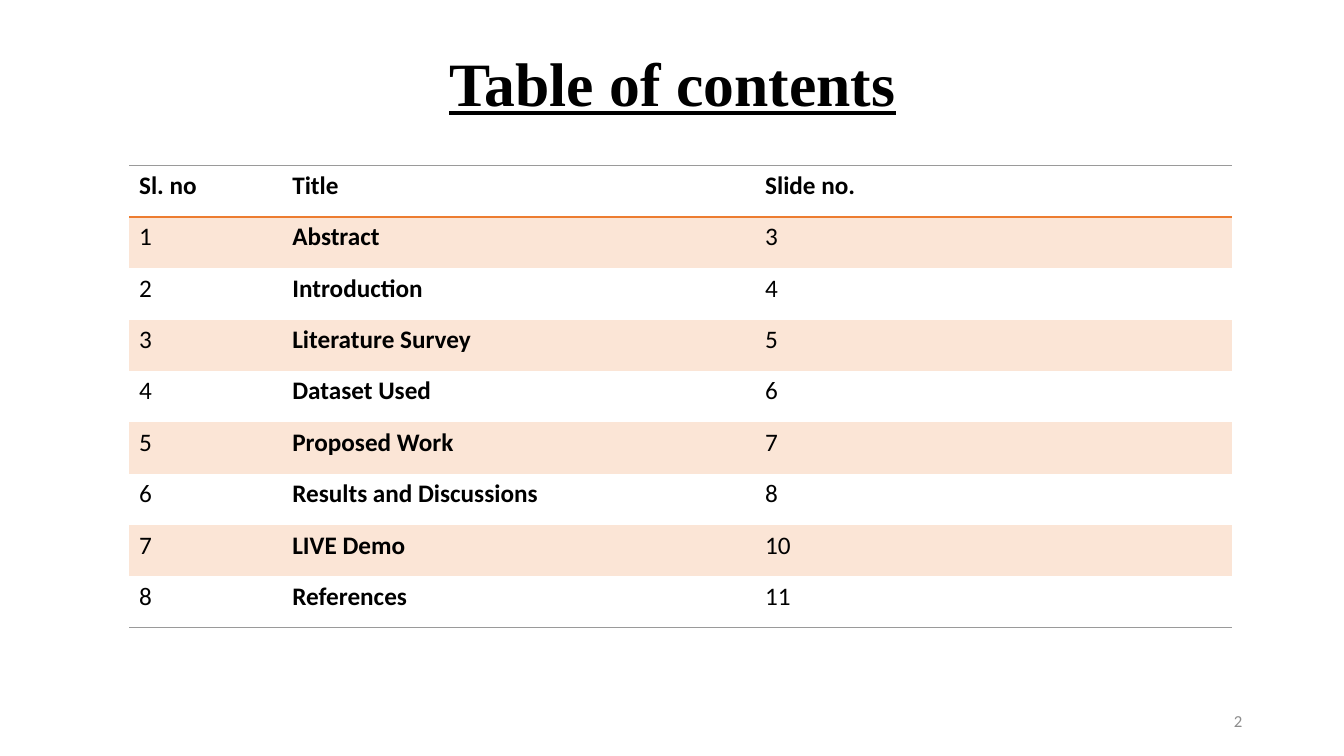
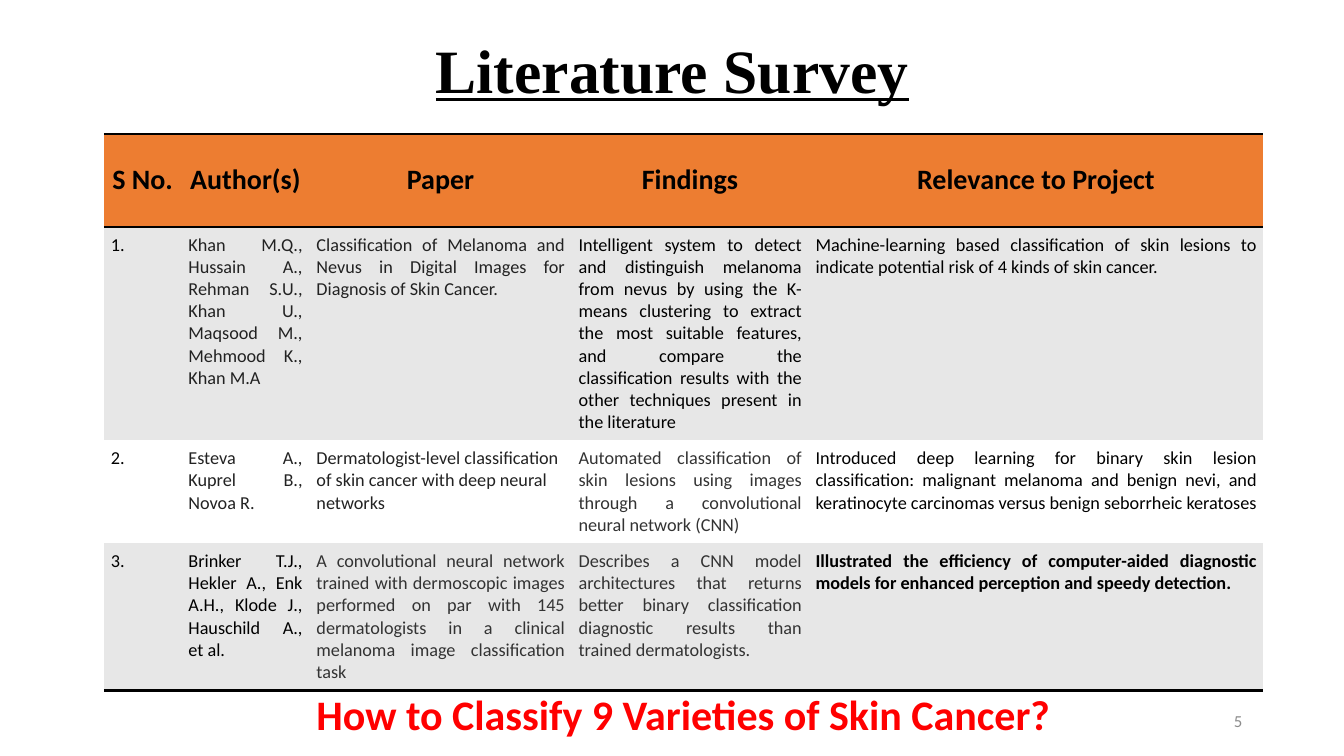
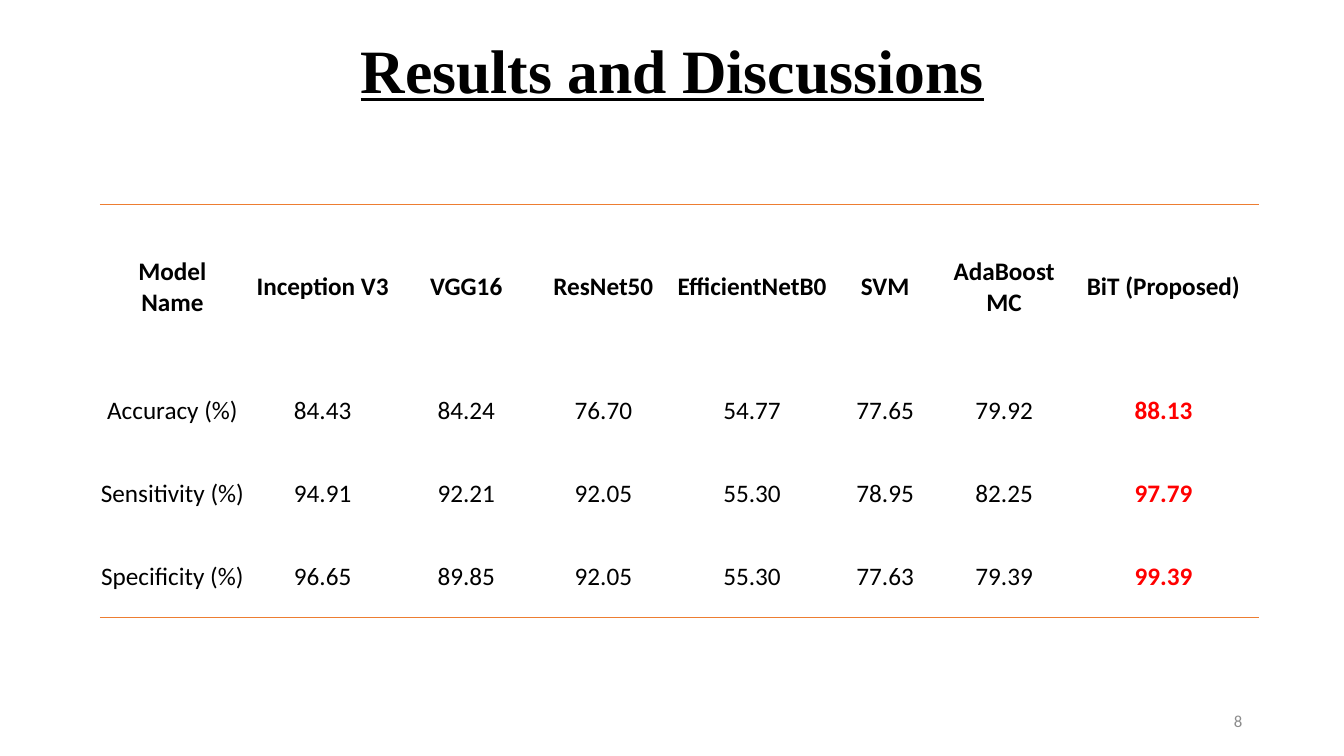
from lxml import etree
from pptx import Presentation
from pptx import util as u
from pptx.dml.color import RGBColor
from pptx.enum import text as t
from pptx.oxml.ns import qn

PX = 9144  # 100 px to the inch
COLORS = {
    "black": "000000",
    "charcoal": "222222",
    "slate": "333333",
    "orange": "ED7D31",
    "peach": "FBE5D6",
    "band": "E7E7E7",
    "white": "FFFFFF",
    "rule": "9A9A9A",
    "number": "8C8C8C",
    "red": "FF0000",
}
BODY_FONT, TITLE_FONT = "Calibri", "Times New Roman"
PLAIN_TABLE_STYLE = "{2D5ABB26-0587-4C30-8999-92F81FD0307C}"
LEFT, CENTER, RIGHT, JUSTIFY = (
    t.PP_ALIGN.LEFT, t.PP_ALIGN.CENTER, t.PP_ALIGN.RIGHT, t.PP_ALIGN.JUSTIFY)
TOP, MIDDLE = t.MSO_ANCHOR.TOP, t.MSO_ANCHOR.MIDDLE

CONTENTS = [
    ("Sl. no", "Title", "Slide no."),
    ("1", "Abstract", "3"),
    ("2", "Introduction", "4"),
    ("3", "Literature Survey", "5"),
    ("4", "Dataset Used", "6"),
    ("5", "Proposed Work", "7"),
    ("6", "Results and Discussions", "8"),
    ("7", "LIVE Demo", "10"),
    ("8", "References", "11"),
]
SURVEY = [
    ("S No.", "Author(s)", "Paper", "Findings", "Relevance to Project"),
    ("1.",
     "Khan M.Q., Hussain A., Rehman S.U., Khan U., Maqsood M., Mehmood K., Khan M.A",
     "Classification of Melanoma and Nevus in Digital Images for Diagnosis of Skin Cancer.",
     "Intelligent system to detect and distinguish melanoma from nevus by using the "
     "K-means clustering to extract the most suitable features, and compare the "
     "classification results with the other techniques present in the literature",
     "Machine-learning based classification of skin lesions to indicate potential risk "
     "of 4 kinds of skin cancer."),
    ("2.",
     "Esteva A., Kuprel B., Novoa R.",
     "Dermatologist-level classification of skin cancer with deep neural networks",
     "Automated classification of skin lesions using images through a convolutional "
     "neural network (CNN)",
     "Introduced deep learning for binary skin lesion classification: malignant melanoma "
     "and benign nevi, and keratinocyte carcinomas versus benign seborrheic keratoses"),
    ("3.",
     "Brinker T.J., Hekler A., Enk A.H., Klode J., Hauschild A., et al.",
     "A convolutional neural network trained with dermoscopic images performed on par "
     "with 145 dermatologists in a clinical melanoma image classification task",
     "Describes a CNN model architectures that returns better binary classification "
     "diagnostic results than trained dermatologists.",
     "Illustrated the efficiency of computer-aided diagnostic models for enhanced "
     "perception and speedy detection."),
]
SURVEY_INK = [
    ("black",) * 5,
    ("black", "charcoal", "charcoal", "black", "black"),
    ("black", "charcoal", "charcoal", "slate", "black"),
    ("black", "black", "slate", "slate", "black"),
]
RESULTS = [
    ("Model\nName", "Inception V3", "VGG16", "ResNet50", "EfficientNetB0", "SVM",
     "AdaBoost MC", "BiT (Proposed)"),
    ("Accuracy (%)", "84.43", "84.24", "76.70", "54.77", "77.65", "79.92", "88.13"),
    ("Sensitivity (%)", "94.91", "92.21", "92.05", "55.30", "78.95", "82.25", "97.79"),
    ("Specificity (%)", "96.65", "89.85", "92.05", "55.30", "77.63", "79.39", "99.39"),
]


def px(*lengths):
    return [u.Emu(length * PX) for length in lengths]


def write(frame, text, size, color="black", bold=False, align=LEFT,
          font=BODY_FONT, underline=False):
    frame.text = text
    frame.word_wrap = True
    for paragraph in frame.paragraphs:
        paragraph.alignment = align
        for run in paragraph.runs:
            run.font.name = font
            run.font.size = u.Pt(size)
            run.font.bold = bold
            run.font.underline = underline
            run.font.color.rgb = RGBColor.from_string(COLORS[color])


def add_label(slide, box, text, size, anchor=TOP, **style):
    frame = slide.shapes.add_textbox(*px(*box)).text_frame
    write(frame, text, size, **style)
    frame.vertical_anchor = anchor


def add_titled_slide(presentation, title, number, top=0):
    """Add a slide with the shared title style and page number."""
    slide = presentation.slides.add_slide(presentation.slide_layouts[5])
    shape = slide.shapes.title
    shape.left, shape.top, shape.width, shape.height = px(92, top, 1150, 145)
    frame = shape.text_frame
    write(frame, title, 44, bold=True, align=CENTER, font=TITLE_FONT, underline=True)
    frame.vertical_anchor = MIDDLE
    frame.auto_size = t.MSO_AUTO_SIZE.NONE
    frame.paragraphs[0].line_spacing = 0.9
    add_label(slide, (942, 695, 300, 40), number, 12, MIDDLE,
              color="number", align=RIGHT)
    return slide


def draw_borders(cell, borders):
    """Borders map "T" or "B" to a colour name and a width in points."""
    properties = cell._tc.get_or_add_tcPr()
    for index, side in enumerate(sorted(borders, reverse=True)):
        color, width = borders[side]
        line = etree.Element(qn("a:ln" + side), w=str(u.Pt(width)))
        fill = etree.SubElement(line, qn("a:solidFill"))
        etree.SubElement(fill, qn("a:srgbClr"), val=COLORS[color])
        properties.insert(index, line)


def add_grid(slide, origin, widths, heights, texts, style_of, borders_of,
             inset=None, anchor=TOP):
    """Add a table; style_of(row, column) gives a fill name and the text style."""
    box = px(*origin, sum(widths), sum(heights))
    shape = slide.shapes.add_table(len(heights), len(widths), *box)
    table = shape.table
    table.first_row = table.horz_banding = False
    next(shape.element.iter(qn("a:tableStyleId"))).text = PLAIN_TABLE_STYLE
    for column, width in zip(table.columns, px(*widths)):
        column.width = width
    for row, height in zip(table.rows, px(*heights)):
        row.height = height
    for r, row_texts in enumerate(texts):
        for c, text in enumerate(row_texts):
            cell = table.cell(r, c)
            fill, style = style_of(r, c)
            write(cell.text_frame, text, **style)
            cell.vertical_anchor = MIDDLE if r == 0 and inset else anchor
            if inset is not None:
                (cell.margin_left, cell.margin_top,
                 cell.margin_right, cell.margin_bottom) = px(*[inset] * 4)
            if fill:
                cell.fill.solid()
                cell.fill.fore_color.rgb = RGBColor.from_string(COLORS[fill])
            else:
                cell.fill.background()
            draw_borders(cell, borders_of.get(r, {}))


def add_contents_slide(presentation):
    def style(row, column):
        return "peach" if row % 2 else None, {"size": 18, "bold": row == 0 or column == 1}

    slide = add_titled_slide(presentation, "Table of contents", "2", top=13)
    rule = ("rule", 0.75)
    add_grid(slide, (128, 164), [152, 469, 473], [51] * len(CONTENTS), CONTENTS, style,
             {0: {"T": rule, "B": ("orange", 1.5)}, len(CONTENTS) - 1: {"B": rule}})


def add_survey_slide(presentation):
    def style(row, column):
        if row == 0:
            return "orange", {"size": 20, "bold": True, "align": CENTER}
        ragged = column == 0 or (row, column) == (2, 2)
        return "band" if row % 2 else "white", {
            "size": 13,
            "bold": (row, column) == (3, 4),
            "color": SURVEY_INK[row][column],
            "align": LEFT if ragged else JUSTIFY,
        }

    slide = add_titled_slide(presentation, "Literature Survey", "5")
    rule = ("black", 2)
    add_grid(slide, (103, 133), [77, 127, 260, 235, 451], [92, 212, 102, 146], SURVEY,
             style, {0: {"T": rule, "B": rule}, 3: {"B": rule}}, inset=7)
    add_label(slide, (247, 678, 862, 61), "How to Classify 9 Varieties of Skin Cancer?",
              30, color="red", bold=True, align=CENTER)


def add_results_slide(presentation):
    proposed = len(RESULTS[0]) - 1

    def style(row, column):
        best = row > 0 and column == proposed
        return None, {"size": 18, "bold": row == 0 or best, "align": CENTER,
                      "color": "red" if best else "black"}

    slide = add_titled_slide(presentation, "Results and Discussions", "8")
    rule = ("orange", 1)
    add_grid(slide, (99, 203), [144, 154, 131, 141, 154, 110, 126, 190],
             [164, 82, 82, 82], RESULTS, style, {0: {"T": rule}, 3: {"B": rule}},
             inset=0, anchor=MIDDLE)


def main():
    presentation = Presentation()
    presentation.slide_width, presentation.slide_height = px(1333, 750)
    add_contents_slide(presentation)
    add_survey_slide(presentation)
    add_results_slide(presentation)
    presentation.save("out.pptx")


if __name__ == "__main__":
    main()
